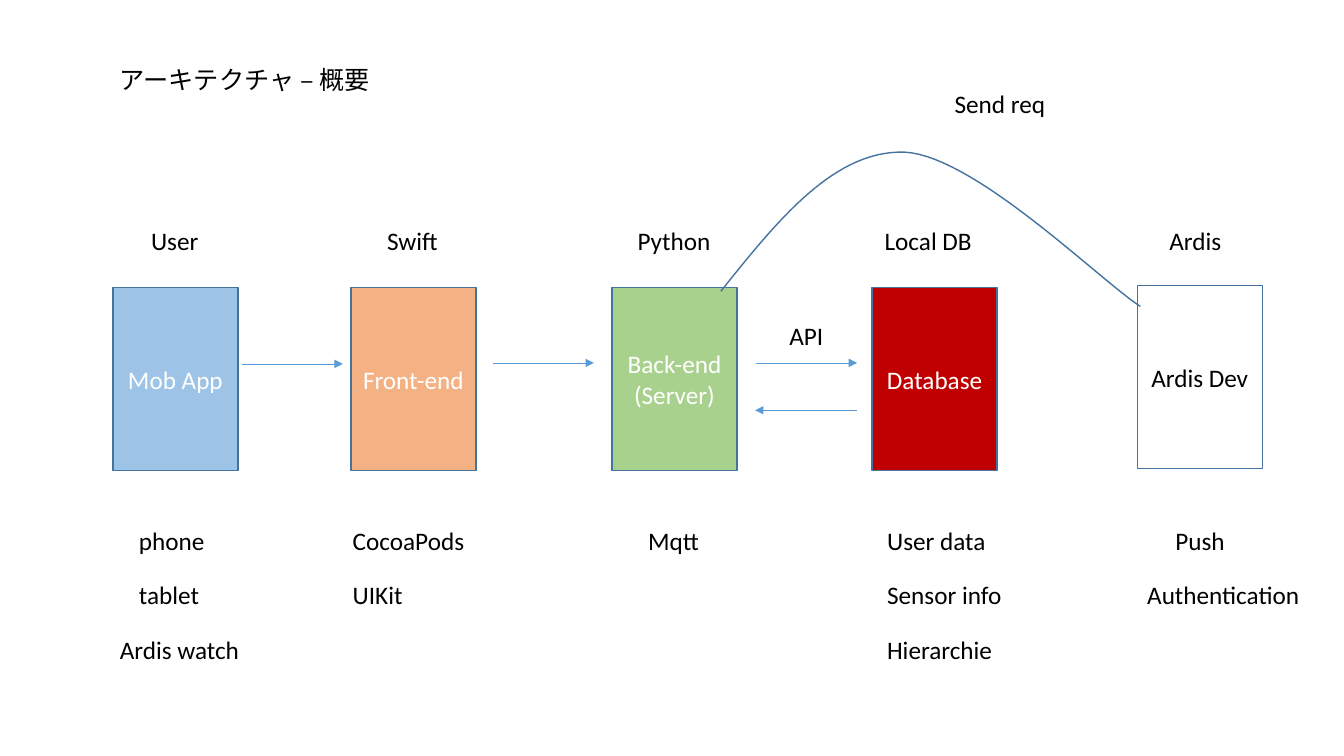
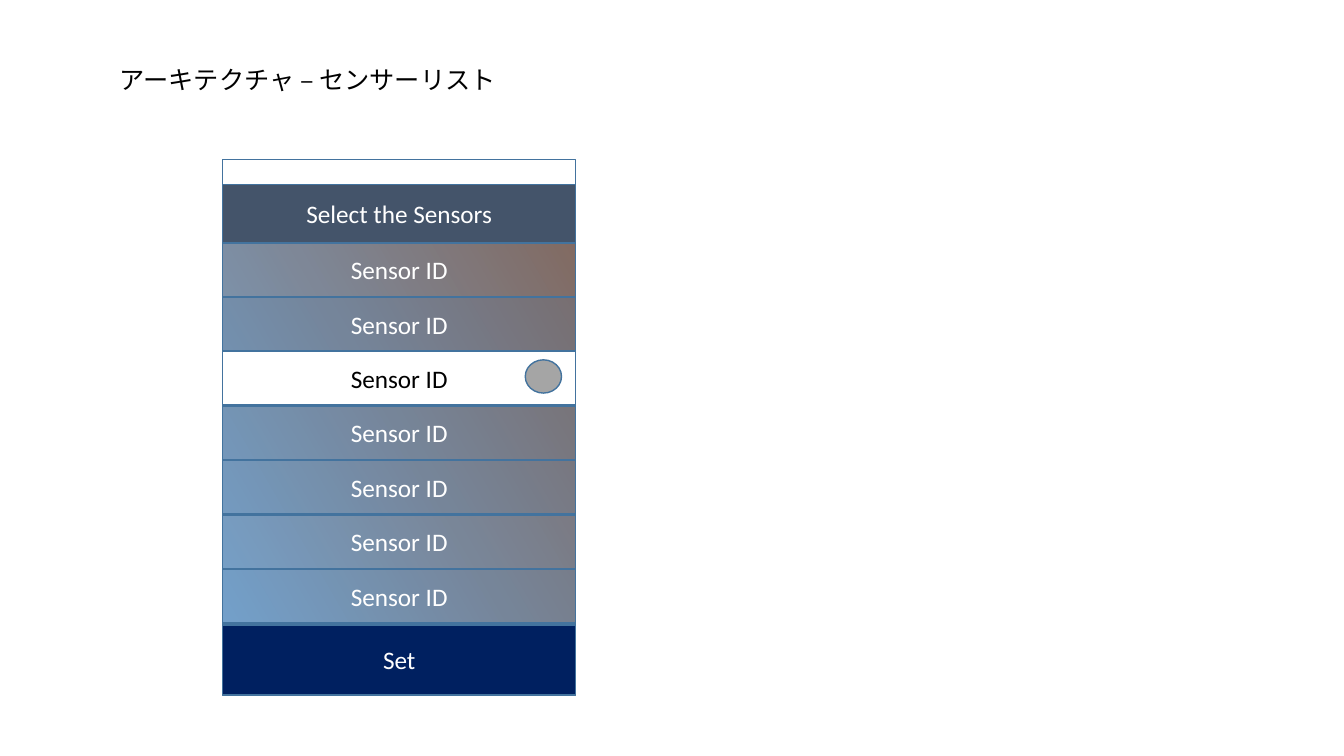
import pptx
import pptx.util
import pptx.dml.color
import pptx.enum.shapes
import pptx.enum.text
import pptx.oxml
import pptx.oxml.ns

Inches = pptx.util.Inches
SHAPES = pptx.enum.shapes.MSO_SHAPE
FONT, SIZE = "Calibri", 18
BLACK, WHITE, OUTLINE, ARROW = "000000", "FFFFFF", "43739E", "5B9BD5"
A_NS = pptx.oxml.ns.nsdecls("a")

TITLES = ["アーキテクチャ – 概要", "アーキテクチャ – センサーリスト"]

# Architecture: heading and its width, box text, left, top, fill, text colour,
# then the notes below as (text, left, width)
BOX_W, BOX_H = 1.24, 1.82
HEADING_TOP, NOTE_TOP, NOTE_STEP, LABEL_H = 2.19, 5.16, 0.54, 0.4
COLUMNS = [
    ("User", 0.68, "Mob App", 1.12, 2.85, "9DC3E6", WHITE,
     [("phone", 1.28, 0.92), ("tablet", 1.28, 0.85), ("Ardis watch", 1.09, 1.47)]),
    ("Swift", 0.72, "Front-end", 3.48, 2.85, "F4B183", WHITE,
     [("CocoaPods", 3.4, 1.32), ("UIKit", 3.4, 0.7)]),
    ("Python", 0.93, "Back-end\n(Server)", 6.07, 2.85, "A9D18E", WHITE,
     [("Mqtt", 6.33, 0.72)]),
    ("Local DB", 1.19, "Database", 8.65, 2.85, "C00000", WHITE,
     [("User data", 8.7, 1.19), ("Sensor info", 8.7, 1.35), ("Hierarchie", 8.7, 1.26)]),
    ("Ardis", 0.8, "Ardis Dev", 11.28, 2.83, WHITE, BLACK,
     [("Push", 11.56, 0.74), ("Authentication", 11.28, 1.73)]),
]
LINK_LABELS = [("Send req", 9.37, 0.83, 1.11), ("API", 7.73, 3.13, 0.54)]
ARROWS = [(2.4, 3.4, 3.61), (4.89, 5.89, 3.6), (7.5, 8.5, 3.6), (8.5, 7.49, 4.07)]
REQUEST_CURVE = [
    [(7.15, 2.89), (7.71, 2.19), (8.27, 1.49), (8.97, 1.51)],
    [(8.97, 1.51), (9.66, 1.54), (10.92, 2.79), (11.31, 3.04)],
]

# Sensor list on a phone screen
PHONE_LEFT, PHONE_TOP, PHONE_W, PHONE_H = 2.21, 1.58, 3.5, 5.32
SCREEN_STOPS = [(0, "C55A11"), (50, "BD967F"), (100, "B5D2EC"), (100, "CEE1F2")]
SCREEN_ANGLE = 150
BARS = [("", 1.58, 0.26, WHITE), ("Select the Sensors", 1.83, 0.58, "44546A"),
        ("Set", 6.2, 0.69, "002060")]
ROW_TOP, ROW_STEP, ROW_H, ROW_FILL = 2.41, 0.54, 0.53, "2E75B6"
ROW_OPACITY = [44, 50, None, 49, 49, 47, 49]  # None marks the selected sensor


def rgb(color):
    return pptx.dml.color.RGBColor.from_string(color)


def write(tf, text, color=BLACK, align=pptx.enum.text.PP_ALIGN.LEFT):
    for i, line in enumerate(text.split("\n")):
        p = tf.paragraphs[0] if i == 0 else tf.add_paragraph()
        p.alignment = align
        r = p.add_run()
        r.text = line
        r.font.name, r.font.size = FONT, pptx.util.Pt(SIZE)
        r.font.color.rgb = rgb(color)


def add_label(s, text, left, top, width):
    tf = s.shapes.add_textbox(*map(Inches, (left, top, width, LABEL_H))).text_frame
    tf.word_wrap = False
    tf.auto_size = pptx.enum.text.MSO_AUTO_SIZE.SHAPE_TO_FIT_TEXT
    write(tf, text)


def outline(sp):
    sp.shadow.inherit = False
    sp.line.color.rgb = rgb(OUTLINE)
    sp.line.width = pptx.util.Pt(1)


def add_block(s, left, top, width, height, fill, text="", color=WHITE,
              opacity=None, kind=SHAPES.RECTANGLE):
    sp = s.shapes.add_shape(kind, *map(Inches, (left, top, width, height)))
    outline(sp)
    sp.fill.solid()
    sp.fill.fore_color.rgb = rgb(fill)
    if opacity is not None:
        srgb = sp.fill._xPr.find(".//" + pptx.oxml.ns.qn("a:srgbClr"))
        srgb.append(pptx.oxml.parse_xml(f'<a:alpha {A_NS} val="{opacity * 1000}"/>'))
    if text:
        sp.text_frame.vertical_anchor = pptx.enum.text.MSO_ANCHOR.MIDDLE
        write(sp.text_frame, text, color, pptx.enum.text.PP_ALIGN.CENTER)
    return sp


def set_gradient(sp, stops, angle):
    """Replace the solid fill by a linear gradient, angle clockwise."""
    gs = "".join(f'<a:gs pos="{pos * 1000}"><a:srgbClr val="{c}"/></a:gs>'
                 for pos, c in stops)
    grad = pptx.oxml.parse_xml(
        f'<a:gradFill {A_NS} rotWithShape="1"><a:gsLst>{gs}</a:gsLst>'
        f'<a:lin ang="{angle * 60000}" scaled="0"/></a:gradFill>')
    solid = sp._element.spPr.find(pptx.oxml.ns.qn("a:solidFill"))
    solid.getparent().replace(solid, grad)


def add_arrow(s, x1, x2, y):
    cx = s.shapes.add_connector(pptx.enum.shapes.MSO_CONNECTOR.STRAIGHT,
                                *map(Inches, (x1, y, x2, y)))
    cx.line.color.rgb = rgb(ARROW)
    cx.line.width = pptx.util.Pt(0.5)
    cx.line._get_or_add_ln().append(
        pptx.oxml.parse_xml(f'<a:tailEnd {A_NS} type="triangle"/>'))
    cx._element.spPr.append(pptx.oxml.parse_xml(f"<a:effectLst {A_NS}/>"))


def bezier(points, steps=30):
    """Points along a cubic curve, without its start."""
    for i in range(1, steps + 1):
        t = i / steps
        weights = ((1 - t) ** 3, 3 * t * (1 - t) ** 2, 3 * t * t * (1 - t), t ** 3)
        yield tuple(Inches(sum(w * pt[axis] for w, pt in zip(weights, points)))
                    for axis in (0, 1))


def add_curve(s, segments):
    builder = s.shapes.build_freeform(*map(Inches, segments[0][0]))
    for segment in segments:
        builder.add_line_segments(list(bezier(segment)), close=False)
    sp = builder.convert_to_shape()
    outline(sp)
    sp.fill.background()


def add_slide(prs, title):
    s = prs.slides.add_slide(prs.slide_layouts[6])
    add_label(s, title, 1.09, 0.59, 2.72 if title == TITLES[0] else 3.98)
    return s


def build_overview(s):
    for heading, width, text, left, top, fill, color, notes in COLUMNS:
        add_block(s, left, top, BOX_W, BOX_H, fill, text, color)
        add_label(s, heading, left + (BOX_W - width) / 2, HEADING_TOP, width)
        for i, (note, note_left, note_w) in enumerate(notes):
            add_label(s, note, note_left, NOTE_TOP + i * NOTE_STEP, note_w)
    for arrow in ARROWS:
        add_arrow(s, *arrow)
    for label in LINK_LABELS:
        add_label(s, *label)
    add_curve(s, REQUEST_CURVE)


def build_sensor_list(s):
    screen = add_block(s, PHONE_LEFT, PHONE_TOP, PHONE_W, PHONE_H, WHITE)
    set_gradient(screen, SCREEN_STOPS, SCREEN_ANGLE)
    for text, top, height, fill in BARS:
        add_block(s, PHONE_LEFT, top, PHONE_W, height, fill, text)
    for i, opacity in enumerate(ROW_OPACITY):
        selected = opacity is None
        top = ROW_TOP + i * ROW_STEP
        add_block(s, PHONE_LEFT, top, PHONE_W, ROW_H, WHITE if selected else ROW_FILL,
                  "Sensor ID", BLACK if selected else WHITE, opacity)
        if selected:
            add_block(s, PHONE_LEFT + 3, top + 0.08, 0.36, 0.33, "A5A5A5",
                      kind=SHAPES.OVAL)


def main():
    prs = pptx.Presentation()
    prs.slide_width, prs.slide_height = Inches(13.33), Inches(7.5)
    for title, build in zip(TITLES, (build_overview, build_sensor_list)):
        build(add_slide(prs, title))
    prs.save("out.pptx")


if __name__ == "__main__":
    main()
